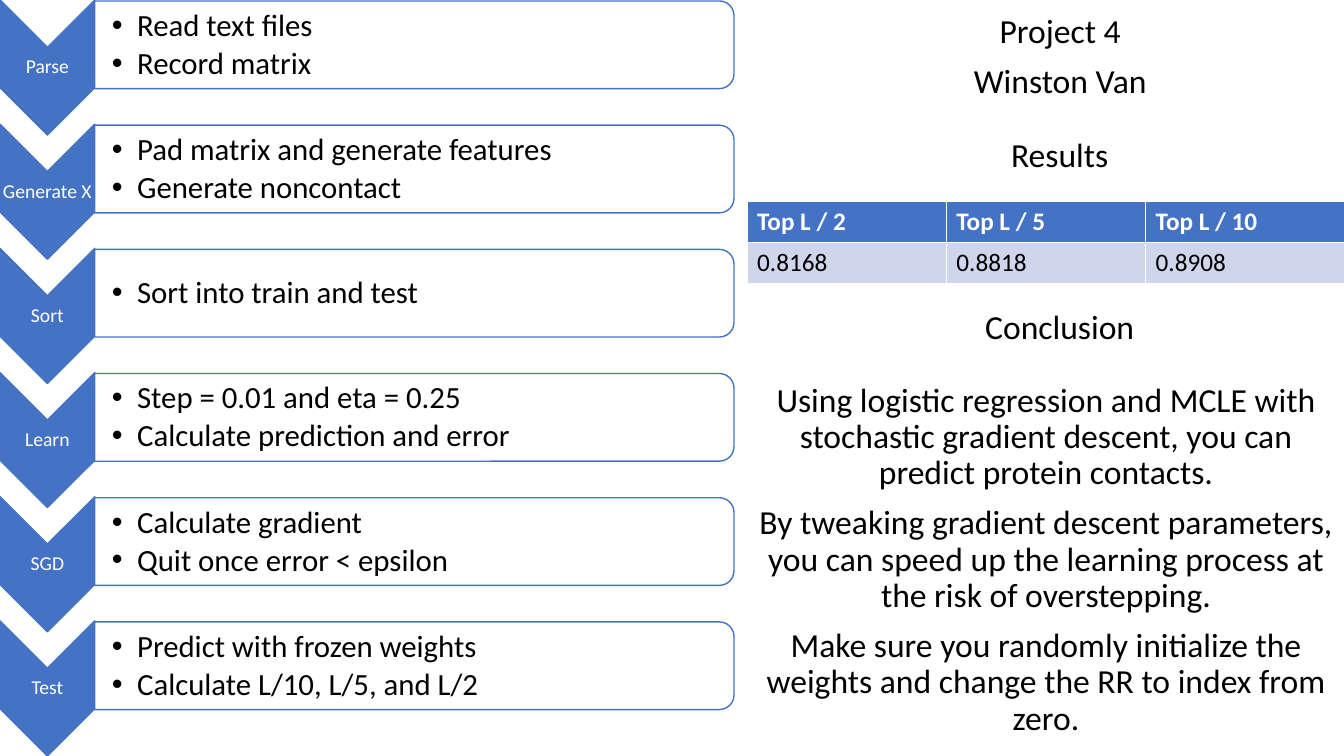
import pptx
import pptx.util
from lxml import etree
from pptx.dml.color import RGBColor
from pptx.enum.shapes import MSO_SHAPE
from pptx.enum.text import MSO_ANCHOR, PP_ALIGN
from pptx.oxml.ns import qn
from pptx.util import Inches, Pt

COLORS = {"blue": "4472C4", "band": "CFD5EA", "white": "FFFFFF", "black": "000000"}
SLIDE_WIDTH, SLIDE_HEIGHT = 13.33, 7.5

STEPS = [
    ("Parse", ["Read text files", "Record matrix"]),
    ("Generate X", ["Pad matrix and generate features", "Generate noncontact"]),
    ("Sort", ["Sort into train and test"]),
    ("Learn", ["Step = 0.01 and eta = 0.25", "Calculate prediction and error"]),
    ("SGD", ["Calculate gradient", "Quit once error < epsilon"]),
    ("Test", ["Predict with frozen weights", "Calculate L/10, L/5, and L/2"]),
]
RESULTS = [
    ["Top L / 2", "Top L / 5", "Top L / 10"],
    ["0.8168", "0.8818", "0.8908"],
]
CONCLUSIONS = [
    "Using logistic regression and MCLE with stochastic gradient descent, "
    "you can predict protein contacts.",
    "By tweaking gradient descent parameters, you can speed up the learning "
    "process at the risk of overstepping.",
    "Make sure you randomly initialize the weights and change the RR to index from zero.",
]

PROSE = {"alignment": PP_ALIGN.CENTER, "line_spacing": 0.9, "space_before": Pt(10)}
LABEL = {"alignment": PP_ALIGN.CENTER, "line_spacing": 0.9}
BULLET = {"line_spacing": 0.9, "space_after": Pt(3.3)}


def rgb(name):
    return RGBColor.from_string(COLORS[name])


def apply(target, values):
    for attribute, value in values.items():
        setattr(target, attribute, value)


def set_font(run, size, color, bold=False):
    apply(run.font, {"name": "Calibri", "size": Pt(size), "bold": bold})
    run.font.color.rgb = rgb(color)


def add_text(slide, box, lines, size, color, paragraph_format, frame_format=None):
    """Add one text box with a paragraph per line and return its paragraphs."""
    frame = slide.shapes.add_textbox(*map(Inches, box)).text_frame
    apply(frame, {"word_wrap": True, **(frame_format or {})})
    for index, line in enumerate(lines):
        paragraph = frame.add_paragraph() if index else frame.paragraphs[0]
        apply(paragraph, paragraph_format)
        run = paragraph.add_run()
        run.text = line
        set_font(run, size, color)
    return frame.paragraphs


def add_bullet(paragraph):
    properties = paragraph._p.get_or_add_pPr()
    properties.set("marL", str(Inches(0.25)))
    properties.set("indent", str(-Inches(0.25)))
    etree.SubElement(properties, qn("a:buFont")).set("typeface", "Arial")
    etree.SubElement(properties, qn("a:buChar")).set("char", "•")


def add_turned_shape(slide, preset, box, fill):
    """Add a shape turned by 90 degrees so that it covers the box as seen."""
    left, top, width, height = box
    shift = (width - height) / 2
    shape = slide.shapes.add_shape(
        preset, *map(Inches, (left + shift, top - shift, height, width)))
    shape.rotation = 90
    shape.shadow.inherit = False
    shape.fill.solid()
    shape.fill.fore_color.rgb = rgb(fill)
    shape.line.color.rgb = rgb("blue")
    shape.line.width = Pt(1)


def add_step(slide, box, label, details):
    left, top, width, height = box
    arrow_width, panel_height = 0.94, 0.87
    panel_left, panel_width = left + arrow_width, width - arrow_width
    add_turned_shape(slide, MSO_SHAPE.CHEVRON, (left, top, arrow_width, height), "blue")
    add_text(slide, (left, top + (height - 0.4) / 2, arrow_width, 0.4), [label], 14, "white",
             LABEL, {"vertical_anchor": MSO_ANCHOR.MIDDLE,
                     **{f"margin_{side}": Inches(0.01)
                        for side in ("left", "top", "right", "bottom")}})
    add_turned_shape(slide, MSO_SHAPE.ROUND_2_SAME_RECTANGLE,
                     (panel_left, top + 0.01, panel_width, panel_height), "white")
    paragraphs = add_text(
        slide, (panel_left, top + 0.06, panel_width - 0.05, 0.78), details, 22, "black", BULLET,
        {"vertical_anchor": MSO_ANCHOR.MIDDLE, "margin_left": Inches(0.17),
         "margin_top": Inches(0.02), "margin_right": Inches(0.02),
         "margin_bottom": Inches(0.02)})
    for paragraph in paragraphs:
        add_bullet(paragraph)


def add_process(slide, box):
    left, top, width, height = box
    step_height = 1.34
    pitch = (height - step_height) / (len(STEPS) - 1)
    for index, (label, details) in enumerate(STEPS):
        add_step(slide, (left, top + index * pitch, width, step_height), label, details)


def add_results_table(slide, box):
    table = slide.shapes.add_table(len(RESULTS), len(RESULTS[0]), *map(Inches, box)).table
    for row, values in enumerate(RESULTS):
        header = row == 0
        for column, value in enumerate(values):
            cell = table.cell(row, column)
            cell.fill.solid()
            cell.fill.fore_color.rgb = rgb("blue" if header else "band")
            run = cell.text_frame.paragraphs[0].add_run()
            run.text = value
            set_font(run, 18, "white" if header else "black", bold=header)


def add_summary(slide, box):
    left, top, width, height = box
    middle = left + width / 2
    heading_left, heading_width = middle - 1.34, 2.95
    add_text(slide, (middle - 1.72, top + 0.09, 3.72, 0.99), ["Project 4", "Winston Van"],
             24, "black", PROSE)
    for heading, offset in (("Results", 1.32), ("Conclusion", 3.03)):
        add_text(slide, (heading_left, top + offset, heading_width, 0.46), [heading],
                 24, "black", PROSE)
    add_results_table(slide, (left, top + 2, width, 0.81))
    add_text(slide, (left, top + 3.75, width, height - 3.75), CONCLUSIONS, 24, "black", PROSE)


def main():
    deck = pptx.Presentation()
    deck.slide_width, deck.slide_height = Inches(SLIDE_WIDTH), Inches(SLIDE_HEIGHT)
    slide = deck.slides.add_slide(deck.slide_layouts[6])
    add_process(slide, (0, 0, 7.28, SLIDE_HEIGHT))
    add_summary(slide, (7.41, 0, 5.93, SLIDE_HEIGHT))
    deck.save("out.pptx")


if __name__ == "__main__":
    main()
